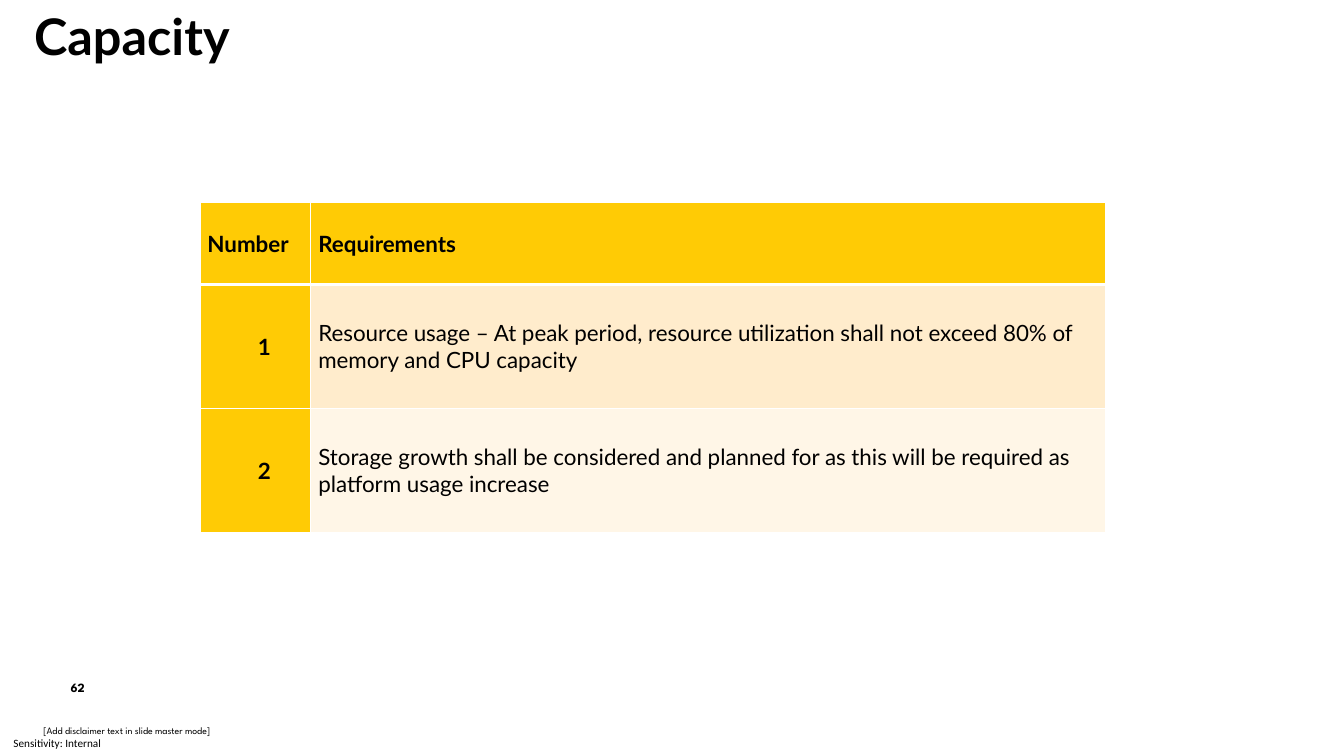
from lxml import etree
from pptx import Presentation
from pptx.dml.color import RGBColor
from pptx.enum import shapes, text
from pptx.oxml import ns
from pptx.util import Pt

COLORS = {"black": "000000", "white": "FFFFFF", "yellow": "FFCB05",
          "peach": "FFECCC", "cream": "FFF6E7"}


def write(frame, words, font_name, size, bold=False):
    paragraph = frame.paragraphs[0]
    paragraph.text = words
    for name, value in {"name": font_name, "size": Pt(size), "bold": bold}.items():
        setattr(paragraph.font, name, value)
    paragraph.font.color.rgb = RGBColor.from_string(COLORS["black"])
    return paragraph


def set_borders(cell, widths):
    # Border lines come before the fill in the cell properties
    properties = cell._tc.get_or_add_tcPr()
    for position, (side, width) in enumerate(widths.items()):
        line = etree.Element(ns.qn(f"a:ln{side}"), w=str(Pt(width)))
        fill = etree.SubElement(line, ns.qn("a:solidFill"))
        etree.SubElement(fill, ns.qn("a:srgbClr"), val=COLORS["white"])
        properties.insert(position, line)


presentation = Presentation()
presentation.slide_width, presentation.slide_height = Pt(960), Pt(540)
slide = presentation.slides.add_slide(presentation.slide_layouts[6])

# Page number
badge = slide.shapes.add_shape(shapes.MSO_SHAPE.OVAL, Pt(31), Pt(481.7), Pt(49), Pt(19.4))
badge.shadow.inherit = False
badge.fill.solid()
badge.fill.fore_color.rgb = RGBColor.from_string(COLORS["white"])
badge.line.fill.background()
number = write(badge.text_frame, "62", "League Spartan", 9, True)
number.alignment = text.PP_ALIGN.CENTER

# Footer lines
disclaimer = slide.shapes.add_textbox(Pt(31), Pt(509.8), Pt(534), Pt(24.5))
write(disclaimer.text_frame, "[Add disclaimer text in slide master mode]", "League Spartan", 7)
sensitivity = slide.shapes.add_textbox(Pt(0), Pt(522), Pt(82), Pt(18))
write(sensitivity.text_frame, "Sensitivity: Internal", "Calibri", 8)

for shape in (badge, disclaimer, sensitivity):
    formats = {"margin_left": 0, "margin_right": 0, "margin_top": 0, "margin_bottom": 0,
               "word_wrap": True, "vertical_anchor": text.MSO_ANCHOR.MIDDLE}
    for name, value in formats.items():
        setattr(shape.text_frame, name, value)
sensitivity.text_frame.margin_left = Pt(9.6)

# Title
title = slide.shapes.add_textbox(Pt(17.3), Pt(0), Pt(171.4), Pt(51))
title.text_frame.word_wrap = False
write(title.text_frame, "Capacity", "Lato", 36, True)

# Requirements table
rows = [
    ("Number", "Requirements", "yellow"),
    ("1", "Resource usage – At peak period, resource utilization shall not exceed "
          "80% of memory and CPU capacity", "peach"),
    ("2", "Storage growth shall be considered and planned for as this will be "
          "required as platform usage increase", "cream"),
]
table = slide.shapes.add_table(3, 2, Pt(142.8), Pt(144.3), Pt(647.2), Pt(236)).table
table.first_row = table.horz_banding = False
for column, width in zip(table.columns, (79.2, 568)):
    column.width = Pt(width)
for row, height in zip(table.rows, (59, 88.5, 88.5)):
    row.height = Pt(height)

for row_index, (label, requirement, color) in enumerate(rows):
    for column_index, words in enumerate((label, requirement)):
        cell = table.cell(row_index, column_index)
        is_label = column_index == 0
        cell.vertical_anchor = text.MSO_ANCHOR.MIDDLE
        cell.margin_left = cell.margin_right = Pt(5.4)
        cell.fill.solid()
        cell.fill.fore_color.rgb = RGBColor.from_string(COLORS["yellow" if is_label else color])
        paragraph = write(cell.text_frame, words, "Lato", 16, is_label or row_index == 0)
        if is_label and row_index:
            paragraph.level = 1
            paragraph._p.get_or_add_pPr().set("marL", str(Pt(36)))
        set_borders(cell, {"L": 1, "R": 1, "T": 3 if row_index == 1 else 1,
                           "B": 3 if row_index == 0 else 1})

presentation.save("out.pptx")
